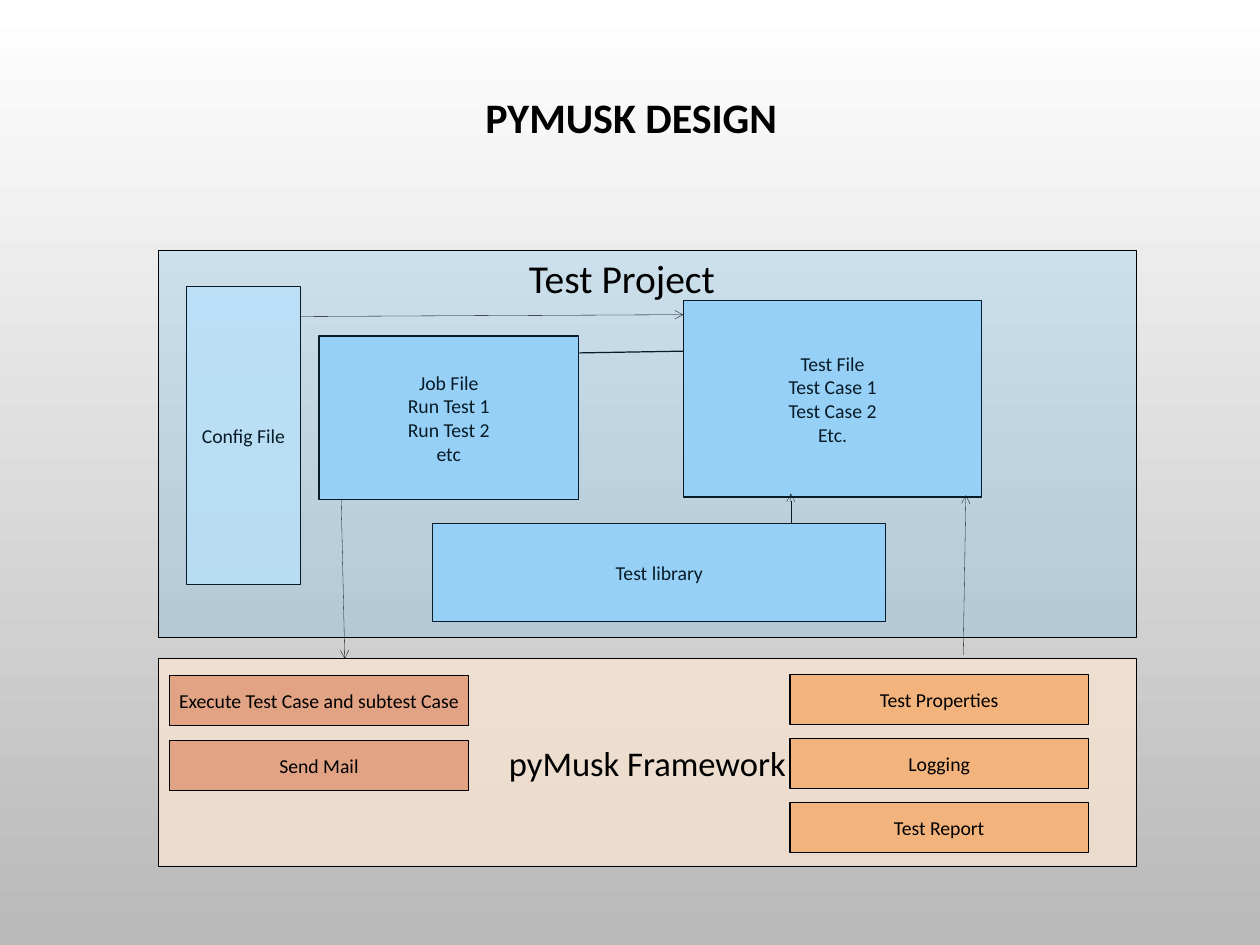
"""Build the PYMUSK DESIGN architecture slide."""
import dataclasses

import lxml.etree
import pptx
import pptx.dml.color
import pptx.enum.shapes
import pptx.enum.text
import pptx.oxml.ns
import pptx.util

Inches = pptx.util.Inches
Pt = pptx.util.Pt
BLACK = "000000"
SKY, ORANGE, SALMON = "ACDAF8", "F3B37C", "E2A385"
BAR_WIDTH, BAR_HEIGHT = 3.36, 0.56
PANEL_LEFT, PANEL_WIDTH = 1.78, 11.01


@dataclasses.dataclass
class Box:
    left: float
    top: float
    width: float
    height: float
    fill: str
    text: str = ""
    size: float = 16
    opacity: int = 100


@dataclasses.dataclass
class Line:
    start: tuple[float, float]
    end: tuple[float, float]
    width: float = 0.25
    arrow: bool = True


def bars(left: float, top: float, pitch: float, fill: str, labels: list[str]) -> list[Box]:
    return [Box(left, top + pitch * row, BAR_WIDTH, BAR_HEIGHT, fill, label)
            for row, label in enumerate(labels)]


BOXES = [
    Box(3.59, 3.78, 2.92, 1.84, SKY, "Job File\nRun Test 1\nRun Test 2\netc"),
    Box(7.69, 3.38, 3.36, 2.21, SKY, "Test File\nTest Case 1\nTest Case 2\nEtc."),
    Box(2.1, 3.22, 1.28, 3.36, "D5EDFC", "Config File", opacity=80),
    Box(4.87, 5.89, 5.1, 1.1, SKY, "Test library"),
    Box(PANEL_LEFT, 7.41, PANEL_WIDTH, 2.34, "FBE6D3", "pyMusk Framework", 28, 73),
    *bars(8.89, 7.59, 0.72, ORANGE, ["Test Properties", "Logging", "Test Report"]),
    *bars(1.91, 7.6, 0.73, SALMON, ["Execute Test Case and subtest Case", "Send Mail"]),
]
LINES = [
    Line((3.84, 5.62), (3.88, 7.41)),
    Line((6.52, 3.97), (7.69, 3.95), 1, False),
    Line((8.9, 5.89), (8.9, 5.55)),
    Line((10.84, 7.37), (10.87, 5.57)),
]
PROJECT_PANEL = Box(PANEL_LEFT, 2.82, PANEL_WIDTH, 4.35, "2FA3EE", opacity=17)
CONFIG_ARROW = Line((3.38, 3.56), (7.69, 3.54))


def color(value: str) -> pptx.dml.color.RGBColor:
    return pptx.dml.color.RGBColor.from_string(value)


def set_attributes(target: object, values: dict) -> None:
    for name, value in values.items():
        setattr(target, name, value)


def write_text(shape, text: str, size: float, bold: bool = False, **frame_format) -> None:
    frame = shape.text_frame
    frame.text = text
    set_attributes(frame, {"word_wrap": True, **frame_format})
    for paragraph in frame.paragraphs:
        paragraph.alignment = pptx.enum.text.PP_ALIGN.CENTER
        for run in paragraph.runs:
            set_attributes(run.font, {"name": "Calibri", "size": Pt(size), "bold": bold})
            run.font.color.rgb = color(BLACK)


def draw_box(slide, box: Box) -> None:
    shape = slide.shapes.add_shape(
        pptx.enum.shapes.MSO_SHAPE.RECTANGLE,
        *map(Inches, (box.left, box.top, box.width, box.height)))
    shape.shadow.inherit = False
    shape.fill.solid()
    shape.fill.fore_color.rgb = color(box.fill)
    if box.opacity < 100:
        fill_color = shape._element.spPr.find(".//" + pptx.oxml.ns.qn("a:srgbClr"))
        lxml.etree.SubElement(fill_color, pptx.oxml.ns.qn("a:alpha"), val=str(box.opacity * 1000))
    shape.line.color.rgb = color(BLACK)
    shape.line.width = Pt(1)
    if box.text:
        margins = {f"margin_{side}": 0 for side in ("left", "top", "right", "bottom")}
        write_text(shape, box.text, box.size,
                   vertical_anchor=pptx.enum.text.MSO_ANCHOR.MIDDLE, **margins)


def draw_line(slide, line: Line) -> None:
    connector = slide.shapes.add_connector(
        pptx.enum.shapes.MSO_CONNECTOR.STRAIGHT, *map(Inches, line.start + line.end))
    connector.line.color.rgb = color(BLACK)
    connector.line.width = Pt(line.width)
    properties = connector._element.spPr
    if line.arrow:
        outline = properties.find(pptx.oxml.ns.qn("a:ln"))
        lxml.etree.SubElement(outline, pptx.oxml.ns.qn("a:tailEnd"), type="arrow")
    lxml.etree.SubElement(properties, pptx.oxml.ns.qn("a:effectLst"))


def draw_background(slide) -> None:
    fill = slide.background.fill
    fill.gradient()
    fill.gradient_angle = 270
    for stop, (position, value) in zip(fill.gradient_stops, [(0, "FFFFFF"), (1, "B9B9B9")]):
        stop.position = position
        stop.color.rgb = color(value)


def draw_title(slide) -> None:
    title = slide.shapes.title
    set_attributes(title, {"left": Inches(1.37), "top": Inches(0.87),
                           "width": Inches(11.47), "height": Inches(1.28)})
    write_text(title, "PYMUSK DESIGN", 34, True,
               auto_size=pptx.enum.text.MSO_AUTO_SIZE.NONE,
               vertical_anchor=pptx.enum.text.MSO_ANCHOR.TOP)
    title.text_frame.paragraphs[0].line_spacing = 1.2


def main() -> None:
    presentation = pptx.Presentation()
    set_attributes(presentation, {"slide_width": Inches(14.18), "slide_height": Inches(10.63)})
    slide = presentation.slides.add_slide(presentation.slide_layouts.get_by_name("Title Only"))
    draw_background(slide)
    draw_title(slide)
    for box in BOXES:
        draw_box(slide, box)
    for line in LINES:
        draw_line(slide, line)
    draw_box(slide, PROJECT_PANEL)
    label = slide.shapes.add_textbox(*map(Inches, (5.54, 2.81, 2.92, 0.64)))
    write_text(label, "Test Project", 32)
    draw_line(slide, CONFIG_ARROW)
    presentation.save("out.pptx")


if __name__ == "__main__":
    main()
